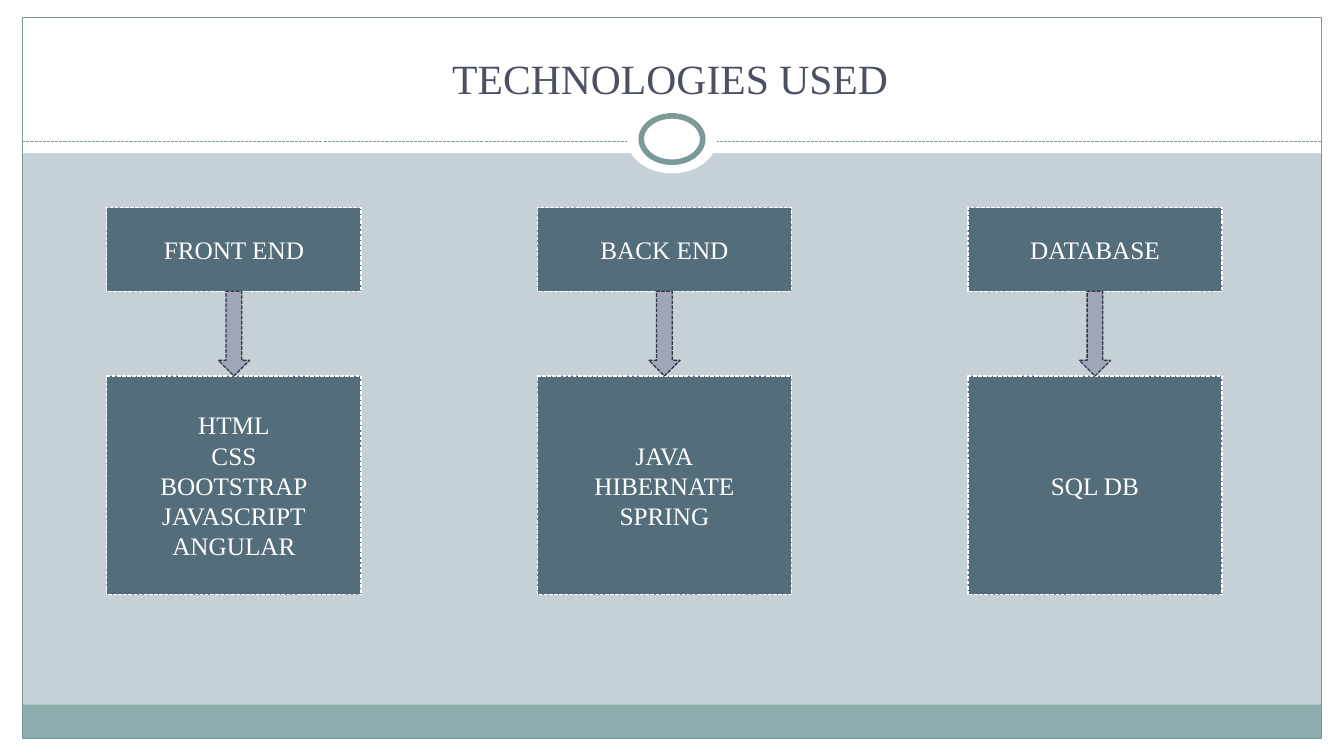
"""Build a slide showing the technologies used for front end, back end and database."""
from pptx import Presentation
from pptx.dml.color import RGBColor
from pptx.enum.dml import MSO_LINE
from pptx.enum.shapes import MSO_CONNECTOR, MSO_SHAPE
from pptx.enum.text import MSO_ANCHOR, PP_ALIGN
from pptx.oxml.ns import qn
from pptx.util import Inches, Pt
from lxml import etree

TITLE = "TECHNOLOGIES USED"
LAYERS = [
    ("FRONT END", ["HTML", "CSS", "BOOTSTRAP", "JAVASCRIPT", "ANGULAR"]),
    ("BACK END", ["JAVA", "HIBERNATE", "SPRING"]),
    ("DATABASE", ["SQL DB"]),
]
FONT = "Times New Roman"
COLORS = {
    "background": "C5D1D7", "white": "FFFFFF", "footer": "8CADAE",
    "frame": "7C999A", "title": "4B5064", "box": "546D7A",
    "arrow": "A0A5B8", "arrow_edge": "323643",
}
WIDTH, HEIGHT = 13.33, 7.5
SIDE, EDGE = 0.22, 0.17
FRAME_WIDTH = WIDTH - 2 * SIDE
HEADER_HEIGHT, RULE_TOP, FOOTER_HEIGHT = 1.52, 1.4, 0.34
FIRST_LEFT, COLUMN_STEP, BOX_WIDTH = 1.06, 4.27, 2.52
HEAD_TOP, HEAD_HEIGHT = 2.06, 0.83
LIST_TOP, LIST_HEIGHT = 3.73, 2.17
ARROW_WIDTH = 0.31


def color(name):
    return RGBColor.from_string(COLORS[name])


def style_line(line, name, width, dashed=False):
    line.color.rgb = color(name)
    line.width = Pt(width)
    if dashed:
        line.dash_style = MSO_LINE.SQUARE_DOT


def add_shape(kind, left, top, width, height, fill=None, edge=None, dashed=False):
    shape = page.shapes.add_shape(
        kind, Inches(left), Inches(top), Inches(width), Inches(height))
    shape.shadow.inherit = False
    if fill:
        shape.fill.solid()
        shape.fill.fore_color.rgb = color(fill)
    else:
        shape.fill.background()
    if edge:
        style_line(shape.line, *edge, dashed)
    else:
        shape.line.fill.background()
    return shape


def write(shape, lines, size, name):
    frame = shape.text_frame
    frame.word_wrap = True
    frame.vertical_anchor = MSO_ANCHOR.MIDDLE
    frame.text = "\n".join(lines)
    for para in frame.paragraphs:
        para.alignment = PP_ALIGN.CENTER
        para.font.name = FONT
        para.font.size = Pt(size)
        para.font.color.rgb = color(name)


deck = Presentation()
deck.slide_width, deck.slide_height = Inches(WIDTH), Inches(HEIGHT)
page = deck.slides.add_slide(deck.slide_layouts[6])
page.background.fill.solid()
page.background.fill.fore_color.rgb = color("background")

RECT, OVAL = MSO_SHAPE.RECTANGLE, MSO_SHAPE.OVAL
for margin in [
    (0, HEIGHT - EDGE, WIDTH, EDGE),
    (0, 0, WIDTH, HEADER_HEIGHT),
    (0, 0, SIDE, HEIGHT),
    (WIDTH - SIDE, 0, SIDE, HEIGHT),
]:
    add_shape(RECT, *margin, "white")
add_shape(RECT, SIDE, HEIGHT - EDGE - FOOTER_HEIGHT, FRAME_WIDTH, FOOTER_HEIGHT, "footer")
add_shape(RECT, SIDE, EDGE, FRAME_WIDTH, HEIGHT - 2 * EDGE, edge=("frame", 0.75))

rule = page.shapes.add_connector(
    MSO_CONNECTOR.STRAIGHT, Inches(SIDE), Inches(RULE_TOP),
    Inches(WIDTH - SIDE), Inches(RULE_TOP))
style_line(rule.line, "frame", 0.75, True)
etree.SubElement(rule._element.spPr, qn("a:effectLst"))

add_shape(OVAL, 6.22, 1.05, 0.89, 0.67, "white")
add_shape(OVAL, 6.36, 1.15, 0.61, 0.46, "white", ("frame", 4))

title = page.shapes.add_textbox(Inches(0.43), Inches(0.37), Inches(12.44), Inches(0.8))
write(title, [TITLE], 29.7, "title")

for column, (heading, technologies) in enumerate(LAYERS):
    left = FIRST_LEFT + column * COLUMN_STEP
    for lines, top, height in [
        ([heading], HEAD_TOP, HEAD_HEIGHT),
        (technologies, LIST_TOP, LIST_HEIGHT),
    ]:
        box = add_shape(RECT, left, top, BOX_WIDTH, height, "box", ("white", 0.9), True)
        write(box, lines, 18, "white")
    arrow_top = HEAD_TOP + HEAD_HEIGHT
    add_shape(MSO_SHAPE.DOWN_ARROW, left + (BOX_WIDTH - ARROW_WIDTH) / 2, arrow_top,
              ARROW_WIDTH, LIST_TOP - arrow_top, "arrow", ("arrow_edge", 0.9), True)

deck.save("out.pptx")
